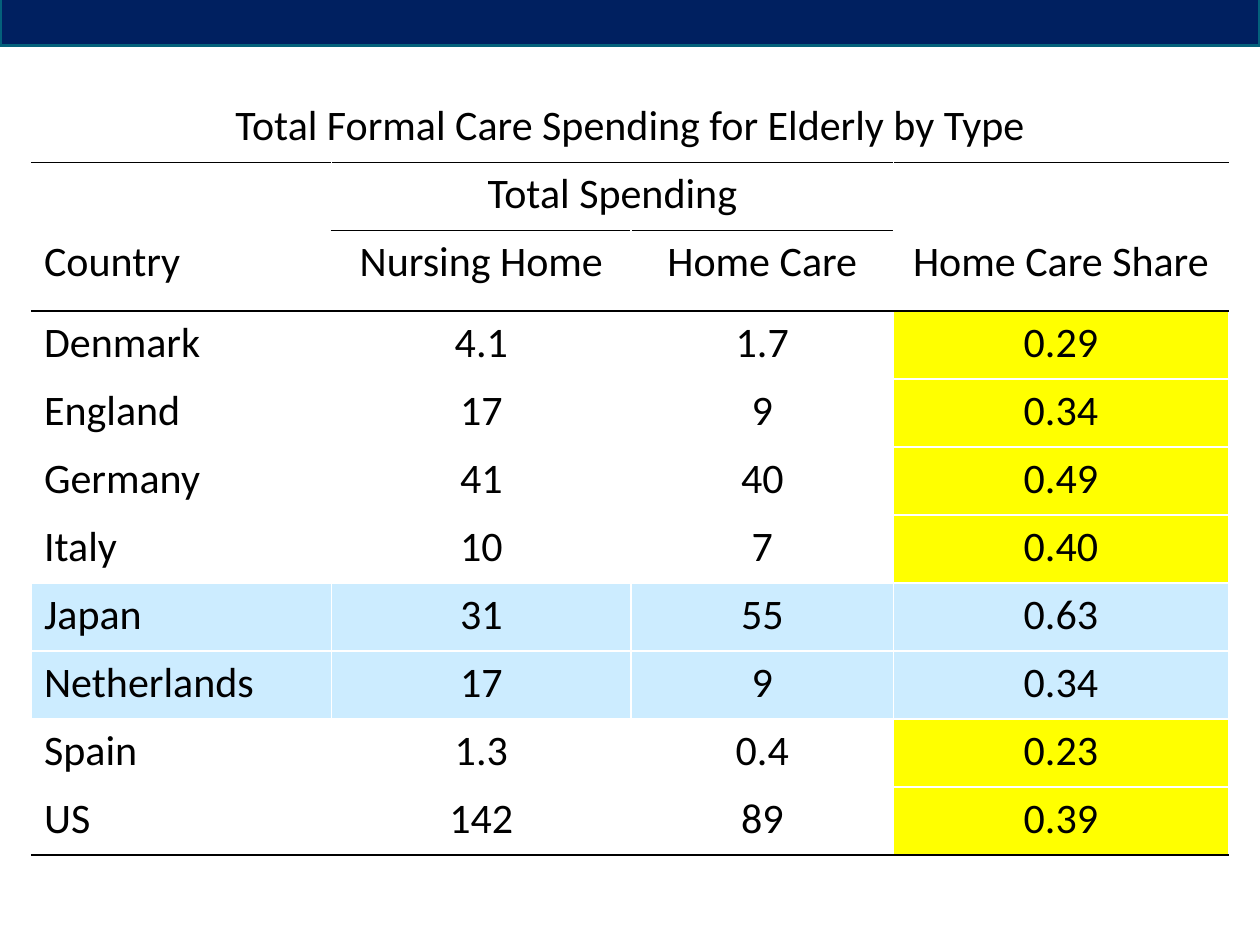
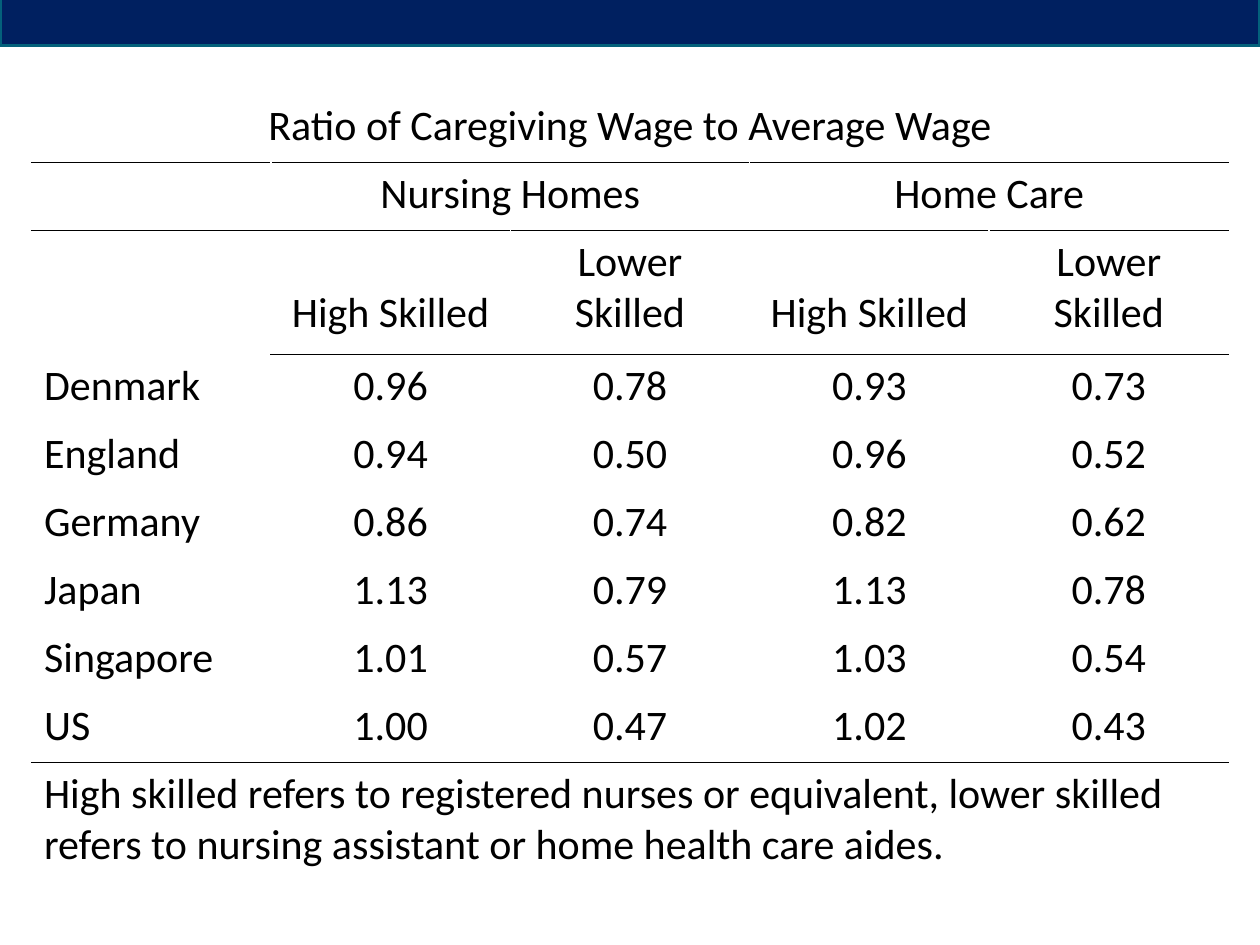
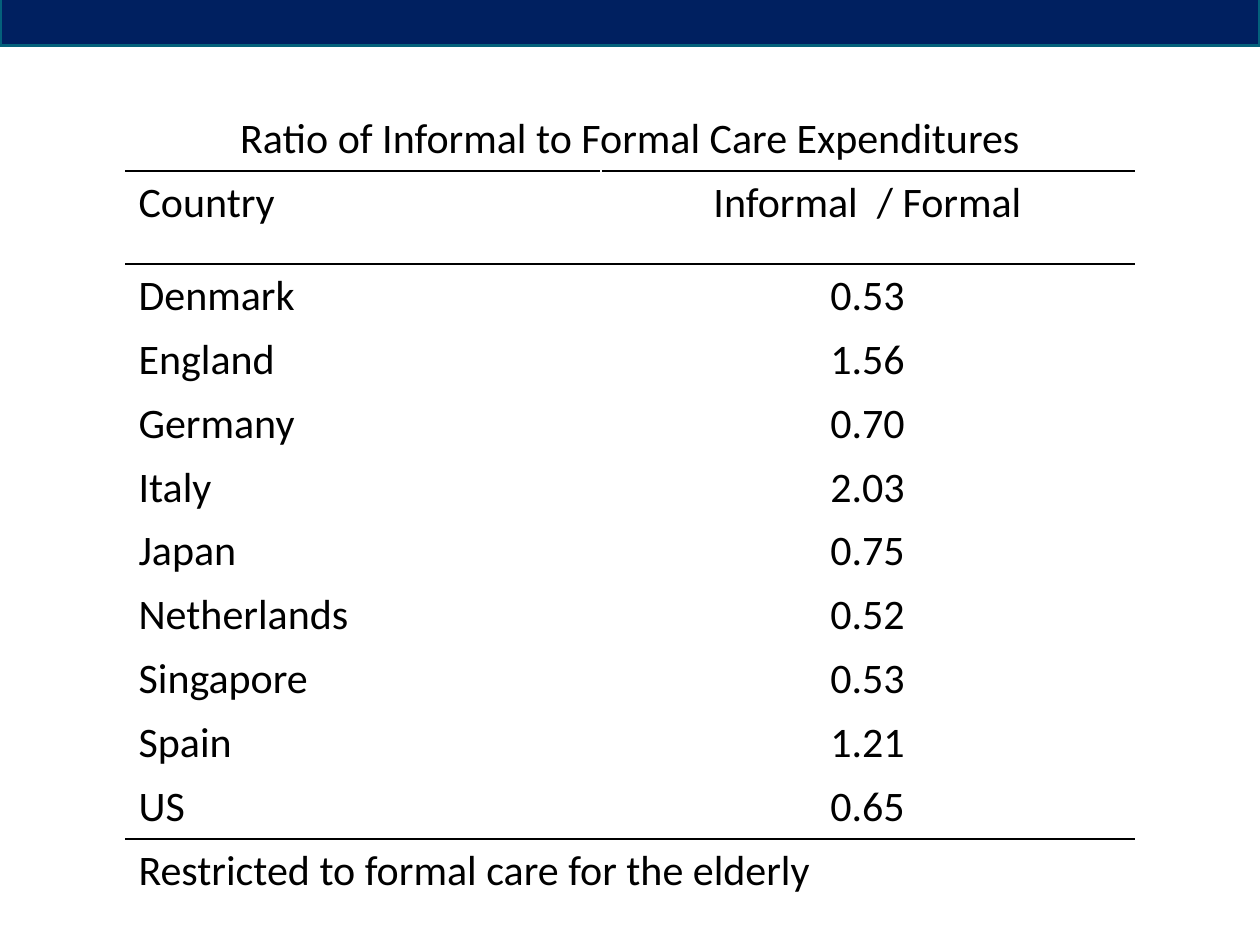
from lxml import etree
from pptx import Presentation, util as u
from pptx.dml.color import RGBColor
from pptx.enum import shapes, text
from pptx.oxml.ns import qn

SLIDE_W, SLIDE_H = 10, 7.5
FONT, FONT_SIZE = "Calibri", 24
INK, PAPER = "000000", "FFFFFF"
NAVY, TEAL = "002060", "04617B"
YELLOW, PALE_BLUE = "FFFF00", "CCECFF"
ROW = 0.54
TWO_LINE_ROW = 0.98


def rgb(value):
    return RGBColor.from_string(value)


def add_band(slide):
    band = slide.shapes.add_shape(
        shapes.MSO_SHAPE.RECTANGLE,
        0, u.Inches(-0.06), u.Inches(SLIDE_W), u.Inches(0.42))
    band.shadow.inherit = False
    band.fill.solid()
    band.fill.fore_color.rgb = rgb(NAVY)
    band.line.color.rgb = rgb(TEAL)
    band.line.width = u.Pt(2)


def add_border(cell, side, color):
    """Draw a one-point border; side is L, R, T or B."""
    properties = cell._tc.get_or_add_tcPr()
    border = etree.SubElement(properties, qn(f"a:ln{side}"), w=str(u.Pt(1)))
    fill = etree.SubElement(border, qn("a:solidFill"))
    etree.SubElement(fill, qn("a:srgbClr"), val=color)


def style_cell(cell, words, align, fill, top, bottom):
    for side, color in zip("LRTB", (PAPER, PAPER, top, bottom)):
        add_border(cell, side, color)
    cell.fill.solid()
    cell.fill.fore_color.rgb = rgb(fill)
    cell.text_frame.text = words
    paragraph = cell.text_frame.paragraphs[0]
    paragraph.alignment = align
    for run in paragraph.runs:
        run.font.name = FONT
        run.font.size = u.Pt(FONT_SIZE)
        run.font.color.rgb = rgb(INK)


def add_ruled_table(slide, top, columns, heights, rows, rules, spans, fills=None):
    """Add a centred table.

    rules maps a row to the columns underlined there, spans lists
    (row, first column, last column), fills maps (row, column) to a colour.
    """
    fills = fills or {}
    width = sum(columns)
    table = slide.shapes.add_table(
        len(rows), len(columns), u.Inches((SLIDE_W - width) / 2), u.Inches(top),
        u.Inches(width), u.Inches(sum(heights))).table
    table.first_row = table.horz_banding = False
    for column, size in zip(table.columns, columns):
        column.width = u.Inches(size)
    for row, size in zip(table.rows, heights):
        row.height = u.Inches(size)

    def rule_color(r, c):
        return INK if c in rules.get(r, ()) else PAPER

    for r, row in enumerate(rows):
        for c in range(len(columns)):
            words = row[c] if c < len(row) else ""
            centred = c > 0 or r == 0
            align = text.PP_ALIGN.CENTER if centred else text.PP_ALIGN.LEFT
            style_cell(table.cell(r, c), words, align, fills.get((r, c), PAPER),
                       rule_color(r - 1, c), rule_color(r, c))
    for r, first, last in spans:
        table.cell(r, first).merge(table.cell(r, last))
    return table


def add_spending_table(slide):
    rows = [
        ["Total Formal Care Spending for Elderly by Type"],
        ["", "Total Spending"],
        ["Country", "Nursing Home", "Home Care", "Home Care Share"],
        ["Denmark", "4.1", "1.7", "0.29"],
        ["England", "17", "9", "0.34"],
        ["Germany", "41", "40", "0.49"],
        ["Italy", "10", "7", "0.40"],
        ["Japan", "31", "55", "0.63"],
        ["Netherlands", "17", "9", "0.34"],
        ["Spain", "1.3", "0.4", "0.23"],
        ["US", "142", "89", "0.39"],
    ]
    every = range(4)
    fills = {(r, 3): YELLOW for r in range(3, len(rows))}
    for r, row in enumerate(rows):
        if row[0] in ("Japan", "Netherlands"):
            fills.update({(r, c): PALE_BLUE for c in every})
    add_ruled_table(
        slide, 0.75, [2.38, 2.38, 2.08, 2.66], [ROW] * 2 + [0.64] + [ROW] * 8, rows,
        rules={0: every, 1: (1, 2), 2: every, 10: every},
        spans=[(0, 0, 3), (1, 1, 2)], fills=fills)


def add_wage_table(slide):
    rows = [
        ["Ratio of Caregiving Wage to Average Wage"],
        ["", "Nursing Homes", "", "Home Care"],
        [""] + ["High Skilled", "Lower Skilled"] * 2,
        ["Denmark", "0.96", "0.78", "0.93", "0.73"],
        ["England", "0.94", "0.50", "0.96", "0.52"],
        ["Germany", "0.86", "0.74", "0.82", "0.62"],
        ["Japan", "1.13", "0.79", "1.13", "0.78"],
        ["Singapore", "1.01", "0.57", "1.03", "0.54"],
        ["US", "1.00", "0.47", "1.02", "0.43"],
        ["High skilled refers to registered nurses or equivalent, lower skilled "
         "refers to nursing assistant or home health care aides."],
    ]
    every = range(5)
    table = add_ruled_table(
        slide, 0.75, [1.9] * 5,
        [ROW] * 2 + [TWO_LINE_ROW] + [ROW] * 6 + [TWO_LINE_ROW], rows,
        rules={0: every, 1: every, 2: range(1, 5), 8: every},
        spans=[(0, 0, 4), (1, 1, 2), (1, 3, 4), (9, 0, 4)])
    for c in range(1, 5):
        skill = table.cell(2, c)
        skill.vertical_anchor = text.MSO_ANCHOR.BOTTOM
        skill.margin_bottom = u.Inches(0.12)


def add_informal_table(slide):
    rows = [
        ["Ratio of Informal to Formal Care Expenditures"],
        ["Country", "Informal  / Formal"],
        ["Denmark", "0.53"],
        ["England", "1.56"],
        ["Germany", "0.70"],
        ["Italy", "2.03"],
        ["Japan", "0.75"],
        ["Netherlands", "0.52"],
        ["Singapore", "0.53"],
        ["Spain", "1.21"],
        ["US", "0.65"],
        ["Restricted to formal care for the elderly"],
    ]
    every = range(2)
    add_ruled_table(
        slide, 0.85, [3.77, 4.23], [0.49, 0.74] + [0.49] * 9 + [0.47], rows,
        rules={0: every, 1: every, 10: every},
        spans=[(0, 0, 1), (11, 0, 1)])


def main():
    deck = Presentation()
    deck.slide_width, deck.slide_height = u.Inches(SLIDE_W), u.Inches(SLIDE_H)
    for add_content in (add_spending_table, add_wage_table, add_informal_table):
        slide = deck.slides.add_slide(deck.slide_layouts[6])
        add_content(slide)
        add_band(slide)
    deck.save("out.pptx")


if __name__ == "__main__":
    main()
